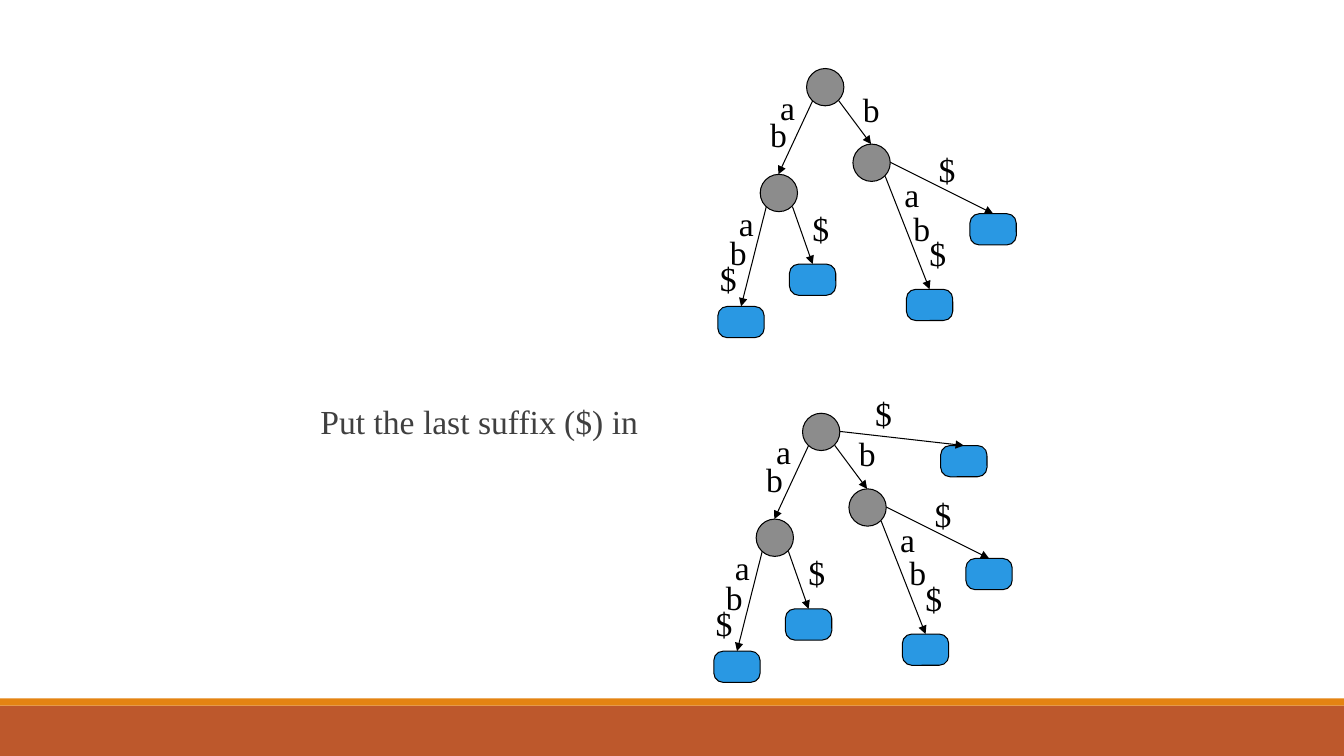
import pptx
import pptx.util
import pptx.dml.color
import pptx.enum.shapes
import pptx.oxml.ns
from lxml import etree

PX = 9144  # EMU per px, 100 px to the inch
SLIDE_W, SLIDE_H = 1333, 750
NODE = 37
LEAF_W, LEAF_H = 46, 31
LABEL_W, LABEL_H = 42, 50
FONT = "Times New Roman"

RGB = pptx.dml.color.RGBColor
BLACK = RGB(0x00, 0x00, 0x00)
DARK_GRAY = RGB(0x40, 0x40, 0x40)
NODE_GRAY = RGB(0x8C, 0x8C, 0x8C)
LEAF_BLUE = RGB(0x29, 0x98, 0xE3)
RUST = RGB(0xBD, 0x58, 0x2C)
ORANGE = RGB(0xE4, 0x83, 0x12)
SHAPE = pptx.enum.shapes.MSO_SHAPE

# Places are offsets from the top left corner of the root
NODES = {"root": (0, 0), "ab": (-46, 105), "b": (46, 75)}
LEAVES = {"abab$": (-88, 236), "ab$": (-17, 194), "bab$": (99, 219), "b$": (162, 144)}
LAST_LEAF = {"$": (137, 32)}

# Where an edge leaves its node
EXITS = {"left": (6, 32), "right": (32, 32), "side": (NODE, 18)}

# Parent, exit, child, and the letters with their places
EDGES = [
    ("root", "left", "ab", [("a", -36, 13), ("b", -46, 40)]),
    ("root", "right", "b", [("b", 46, 15)]),
    ("ab", "left", "abab$", [("a", -77, 128), ("b", -86, 157), ("$", -96, 183)]),
    ("ab", "right", "ab$", [("$", -4, 133)]),
    ("b", "right", "bab$", [("a", 87, 100), ("b", 96, 133), ("$", 112, 158)]),
    ("b", "side", "b$", [("$", 121, 75)]),
]
LAST_EDGE = ("root", "side", "$", [("$", 62, -25)])


def px(*lengths):
    return [pptx.util.Emu(length * PX) for length in lengths]


def add_block(page, kind, left, top, width, height, fill, outlined=True):
    block = page.shapes.add_shape(kind, *px(left, top, width, height))
    block.shadow.inherit = False
    block.fill.solid()
    block.fill.fore_color.rgb = fill
    if outlined:
        block.line.color.rgb = BLACK
        block.line.width = pptx.util.Pt(0.75)
    else:
        block.line.fill.background()
    return block


def add_text(page, text, left, top, width, color):
    box = page.shapes.add_textbox(*px(left, top, width, LABEL_H))
    box.text_frame.word_wrap = True
    para = box.text_frame.paragraphs[0]
    para.text = text
    para.font.name = FONT
    para.font.size = pptx.util.Pt(24)
    para.font.color.rgb = color


def add_arrow(page, start_x, start_y, end_x, end_y):
    arrow = page.shapes.add_connector(
        pptx.enum.shapes.MSO_CONNECTOR.STRAIGHT, *px(start_x, start_y, end_x, end_y))
    arrow.line.color.rgb = BLACK
    arrow.line.width = pptx.util.Pt(0.75)
    qn = pptx.oxml.ns.qn
    etree.SubElement(arrow.line._get_or_add_ln(), qn("a:tailEnd"), type="triangle")
    etree.SubElement(arrow._element.spPr, qn("a:effectLst"))


def add_tree(page, root_x, root_y, leaves, edges):
    # Inner nodes and leaves
    for x, y in NODES.values():
        add_block(page, SHAPE.OVAL, root_x + x, root_y + y, NODE, NODE, NODE_GRAY)
    for x, y in leaves.values():
        leaf = add_block(page, SHAPE.ROUNDED_RECTANGLE, root_x + x, root_y + y,
                         LEAF_W, LEAF_H, LEAF_BLUE)
        leaf.adjustments[0] = 0.3

    # Edges run to the top centre of the child
    places = {**NODES, **leaves}
    for parent, exit_name, child, letters in edges:
        parent_x, parent_y = places[parent]
        exit_x, exit_y = EXITS[exit_name]
        child_x, child_y = places[child]
        child_w = NODE if child in NODES else LEAF_W
        add_arrow(page, root_x + parent_x + exit_x, root_y + parent_y + exit_y,
                  root_x + child_x + child_w // 2, root_y + child_y)
        for letter, x, y in letters:
            add_text(page, letter, root_x + x, root_y + y, LABEL_W, BLACK)


def main():
    deck = pptx.Presentation()
    deck.slide_width, deck.slide_height = px(SLIDE_W, SLIDE_H)
    page = deck.slides.add_slide(deck.slide_layouts[6])

    # Footer bands
    add_block(page, SHAPE.RECTANGLE, 0, 700, SLIDE_W, 50, RUST, outlined=False)
    add_block(page, SHAPE.RECTANGLE, 0, 693, SLIDE_W, 7, ORANGE, outlined=False)

    # Caption
    add_text(page, "Put the last suffix ($) in", 308, 393, 383, DARK_GRAY)

    # Suffix tree before and after the last suffix
    add_tree(page, 800, 68, LEAVES, EDGES)
    add_tree(page, 796, 410, {**LEAVES, **LAST_LEAF}, EDGES + [LAST_EDGE])

    deck.save("out.pptx")


if __name__ == "__main__":
    main()
